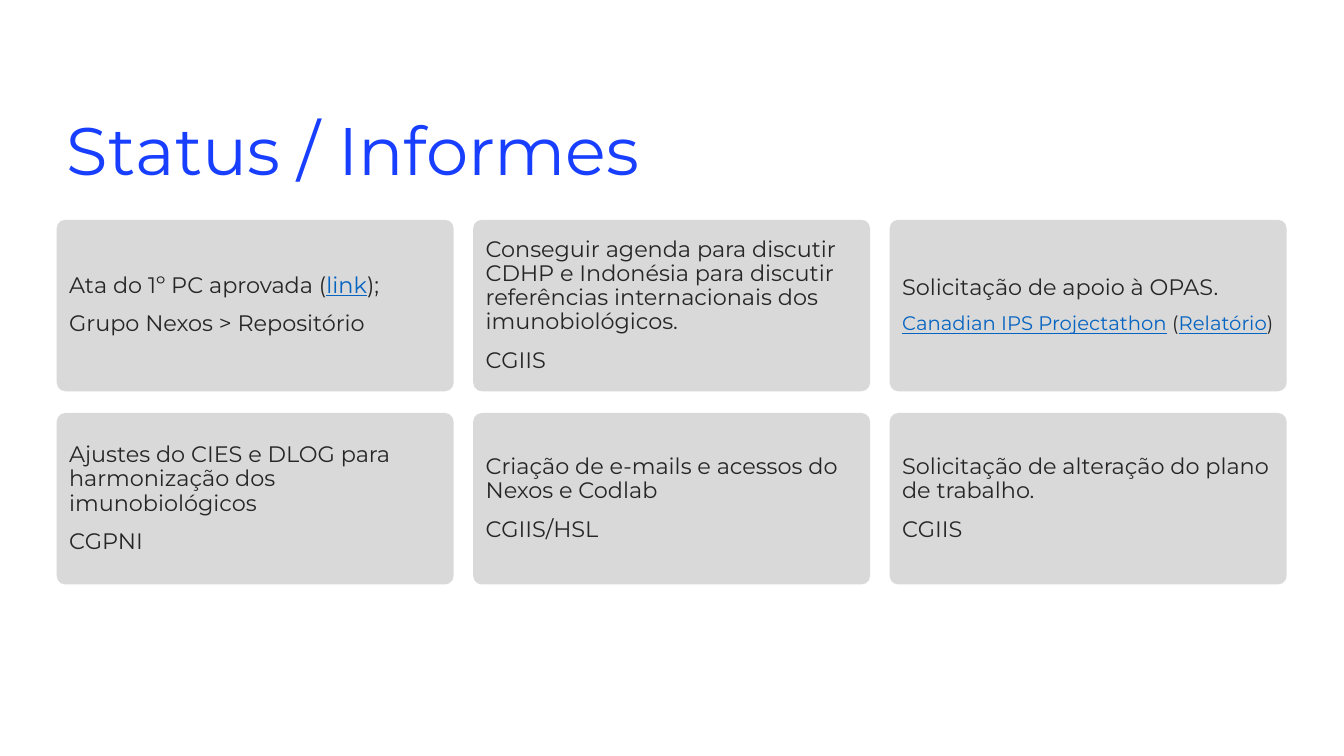
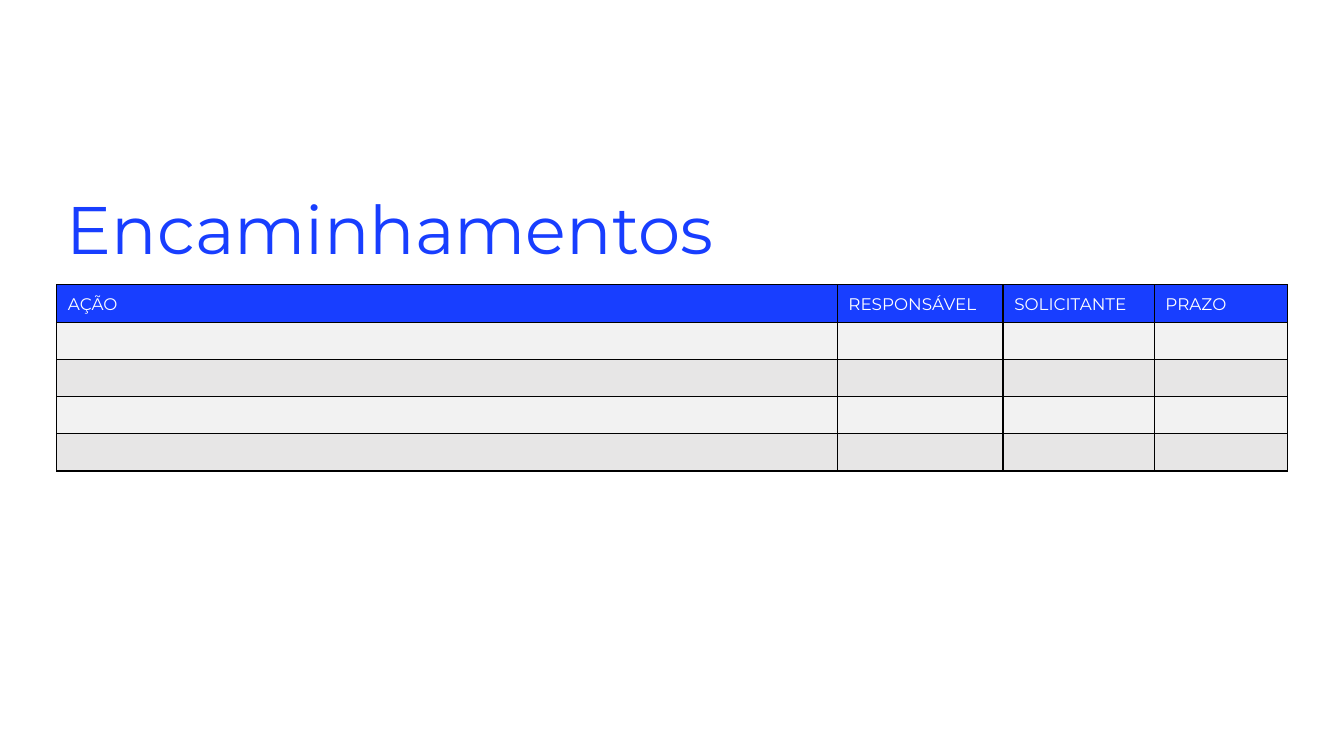
import pptx
import pptx.util
import pptx.dml.color
import pptx.enum.shapes
import pptx.enum.text
import pptx.oxml

Pt = pptx.util.Pt
RGB = pptx.dml.color.RGBColor.from_string
MIDDLE = pptx.enum.text.MSO_ANCHOR.MIDDLE

COLORS = {
    "blue": "183EFF",
    "card": "D9D9D9",
    "text": "262626",
    "link": "0563C1",
    "white": "FFFFFF",
    "light_row": "F2F2F2",
    "dark_row": "E7E6E6",
    "border": "000000",
}
LEFT = 40.5

deck = pptx.Presentation()
deck.slide_width, deck.slide_height = Pt(960), Pt(540)


def add_run(paragraph, text, color, **font_format):
    """Append a run in the deck's font with the given format values."""
    run = paragraph.add_run()
    run.text = text
    run.font.color.rgb = RGB(COLORS[color])
    for name, value in {"name": "Montserrat", "bold": False, **font_format}.items():
        setattr(run.font, name, value)


def add_titled_slide(text, top):
    """Add a title-only slide with the shared title style."""
    slide = deck.slides.add_slide(deck.slide_layouts[5])
    title = slide.shapes.title
    place = {"left": LEFT, "top": top, "width": 628.5, "height": 47}
    for name, value in place.items():
        setattr(title, name, Pt(value))
    frame_format = {
        "word_wrap": True,
        "auto_size": pptx.enum.text.MSO_AUTO_SIZE.NONE,
        "vertical_anchor": pptx.enum.text.MSO_ANCHOR.TOP,
    }
    for name, value in frame_format.items():
        setattr(title.text_frame, name, value)
    paragraph = title.text_frame.paragraphs[0]
    paragraph.alignment = pptx.enum.text.PP_ALIGN.LEFT
    paragraph.line_spacing = 0.9
    add_run(paragraph, text, "blue", size=Pt(48))
    return slide


# Slide 1: status cards, each a list of paragraphs of (text, colour, size) runs
status = add_titled_slide("Status / Informes", 80)
cards = [
    [
        [("Ata do 1º PC aprovada (", "text", 16), ("link", "link", 16), (");", "text", 16)],
        [("Grupo Nexos > Repositório", "text", 16)],
    ],
    [
        [("Conseguir agenda para discutir CDHP e Indonésia para discutir "
          "referências internacionais dos imunobiológicos.", "text", 16)],
        [("CGIIS", "text", 16)],
    ],
    [
        [("Solicitação de apoio à OPAS.", "text", 16)],
        [("Canadian IPS Projectathon", "link", 14), (" (", "text", 14),
         ("Relatório", "link", 14), (")", "text", 14)],
    ],
    [
        [("Ajustes do CIES e DLOG para harmonização dos imunobiológicos", "text", 16)],
        [("CGPNI", "text", 16)],
    ],
    [
        [("Criação de e-mails e acessos do Nexos e Codlab", "text", 16)],
        [("CGIIS/HSL", "text", 16)],
    ],
    [
        [("Solicitação de alteração do plano de trabalho.", "text", 16)],
        [("CGIIS", "text", 16)],
    ],
]
CARD_TOP, CARD_WIDTH, CARD_HEIGHT = 157, 283.5, 122.5
GAP_X, GAP_Y = 14, 15.5

for index, paragraphs in enumerate(cards):
    row, column = divmod(index, 3)
    card = status.shapes.add_shape(
        pptx.enum.shapes.MSO_SHAPE.ROUNDED_RECTANGLE,
        Pt(LEFT + column * (CARD_WIDTH + GAP_X)),
        Pt(CARD_TOP + row * (CARD_HEIGHT + GAP_Y)),
        Pt(CARD_WIDTH), Pt(CARD_HEIGHT))
    card.adjustments[0] = 0.05
    card.shadow.inherit = False
    card.fill.solid()
    card.fill.fore_color.rgb = RGB(COLORS["card"])
    card.line.fill.background()
    card.text_frame.word_wrap = True
    card.text_frame.vertical_anchor = MIDDLE
    for number, runs in enumerate(paragraphs):
        if number == 0:
            paragraph = card.text_frame.paragraphs[0]
        else:
            paragraph = card.text_frame.add_paragraph()
            paragraph.space_before = Pt(10)
        paragraph.alignment = pptx.enum.text.PP_ALIGN.LEFT
        paragraph.line_spacing = 0.9
        for text, color, size in runs:
            add_run(paragraph, text, color, size=Pt(size), underline=color == "link")

# Slide 2: table of actions
actions = add_titled_slide("Encaminhamentos", 137)
columns = {"AÇÃO": 557.5, "RESPONSÁVEL": 118.5, "SOLICITANTE": 108, "PRAZO": 95}
ROWS, ROW_HEIGHT = 5, 26.6
table = actions.shapes.add_table(
    ROWS, len(columns), Pt(LEFT), Pt(203.5),
    Pt(sum(columns.values())), Pt(ROWS * ROW_HEIGHT)).table

for row in table.rows:
    row.height = Pt(ROW_HEIGHT)
for column, width in zip(table.columns, columns.values()):
    column.width = Pt(width)

cell_format = {
    "margin_left": Pt(8),
    "margin_right": Pt(1),
    "margin_top": Pt(1),
    "margin_bottom": Pt(0),
    "vertical_anchor": MIDDLE,
}
for index, cell in enumerate(table.iter_cells()):
    row = index // len(columns)
    for name, value in cell_format.items():
        setattr(cell, name, value)
    # Borders come before the fill in the cell properties
    properties = cell._tc.get_or_add_tcPr()
    for side in "LRTB":
        properties.append(pptx.oxml.parse_xml(
            f'<a:ln{side} xmlns:a="http://schemas.openxmlformats.org/drawingml/2006/main"'
            f' w="{Pt(1)}"><a:solidFill><a:srgbClr val="{COLORS["border"]}"/>'
            f'</a:solidFill></a:ln{side}>'))
    fill = "blue" if row == 0 else "light_row" if row % 2 else "dark_row"
    cell.fill.solid()
    cell.fill.fore_color.rgb = RGB(COLORS[fill])

for cell, heading in zip(table.rows[0].cells, columns):
    add_run(cell.text_frame.paragraphs[0], heading, "white", size=Pt(12))

deck.save("out.pptx")
